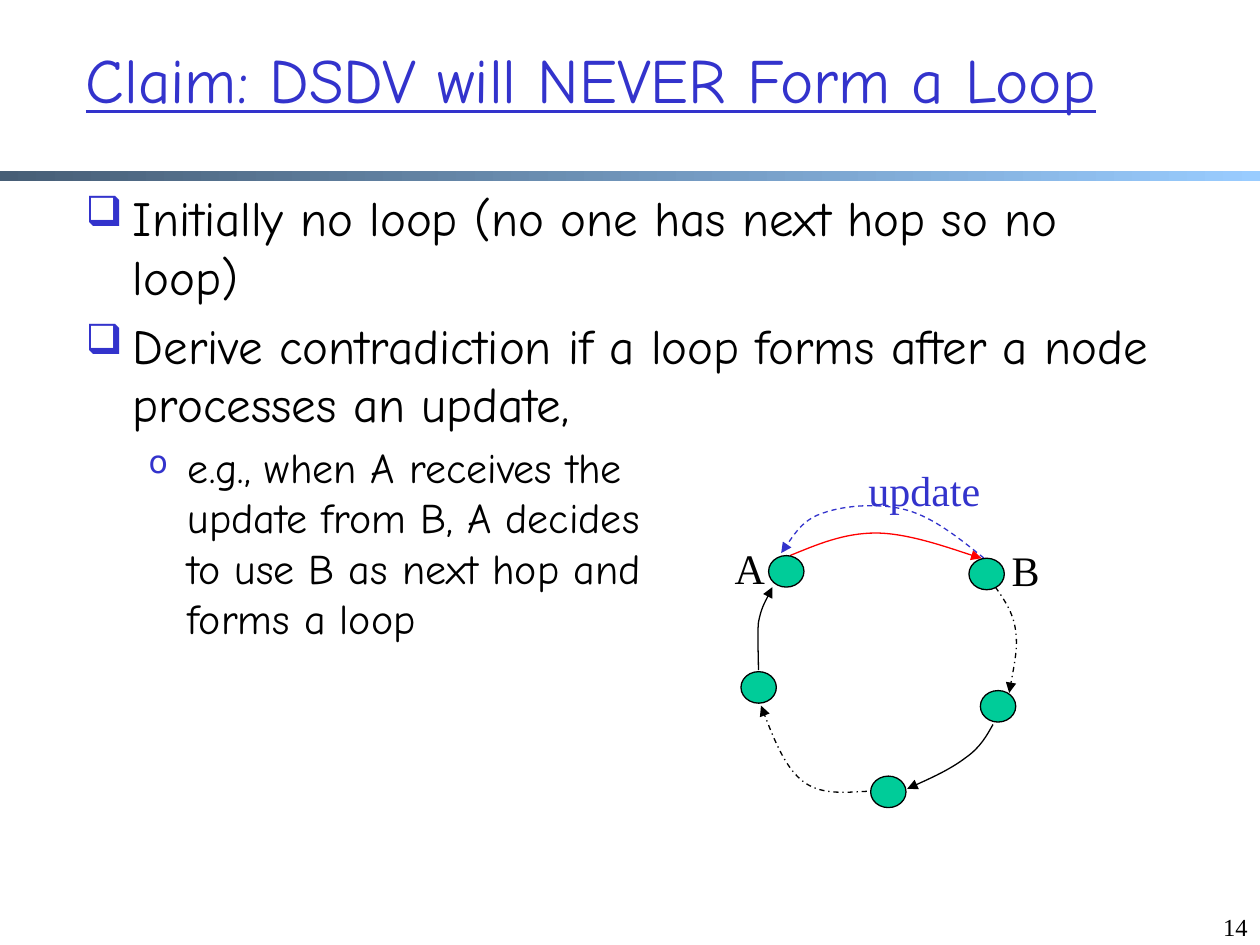
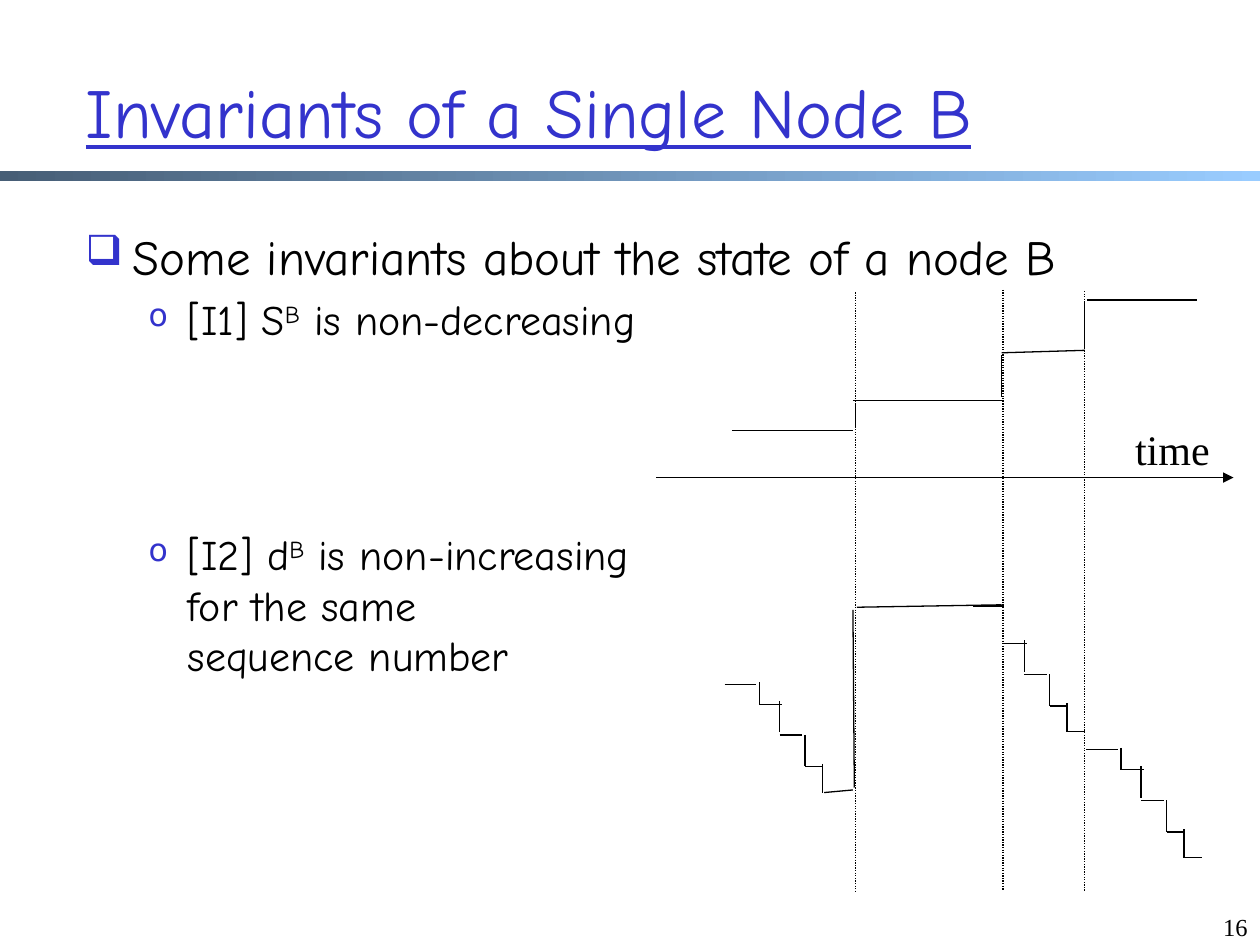
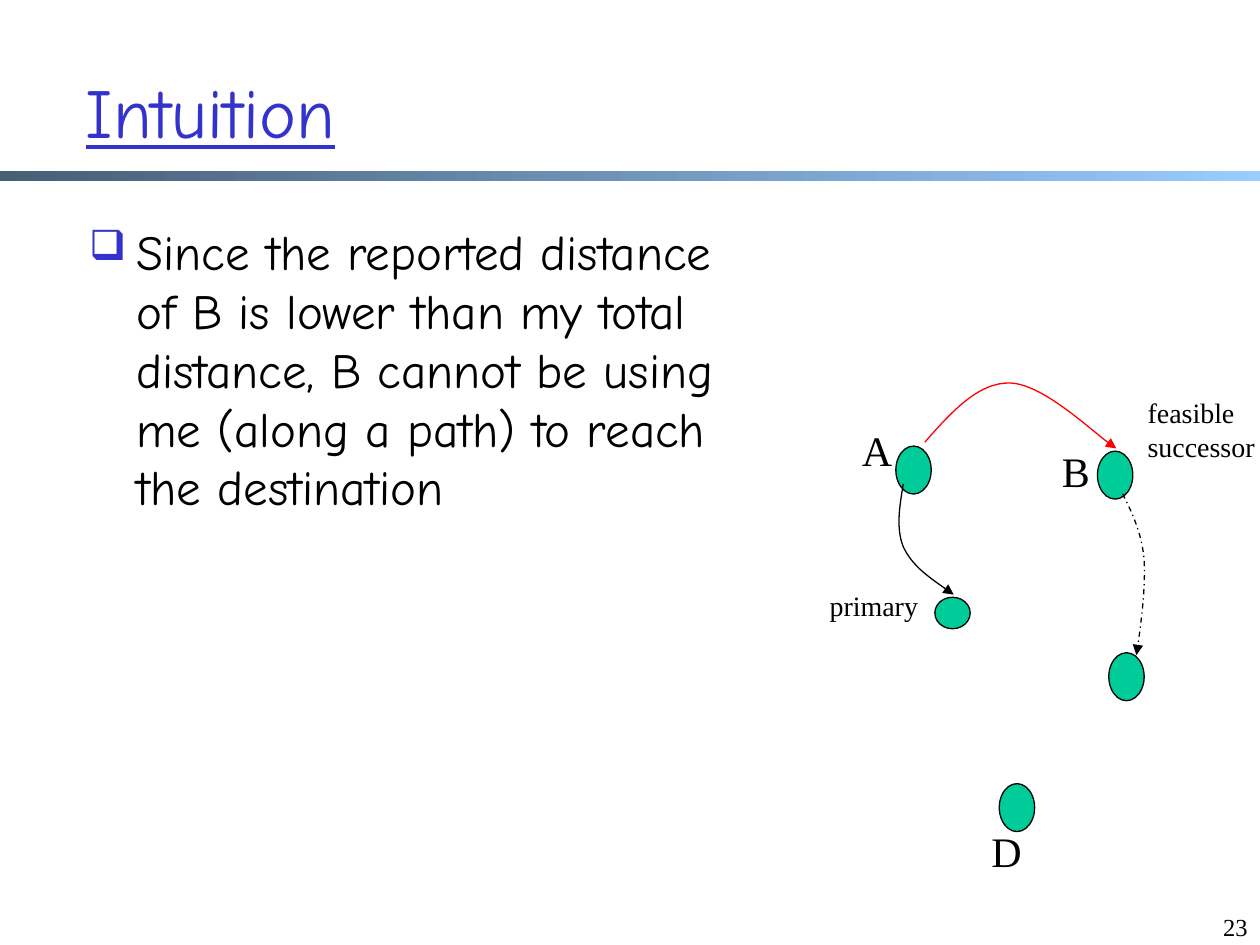
"""Builds three lecture slides on loop freedom in DSDV routing."""
from dataclasses import dataclass

from lxml.etree import SubElement
from pptx import Presentation
from pptx.dml.color import RGBColor as Rgb
from pptx.enum.dml import MSO_LINE_DASH_STYLE as Dash
from pptx.enum.shapes import MSO_CONNECTOR_TYPE as Link, MSO_SHAPE as Preset
from pptx.enum.text import MSO_ANCHOR as Anchor, PP_ALIGN as Align
from pptx.oxml.ns import qn
from pptx.util import Pt


@dataclass(frozen=True)
class Theme:
    """Colours, fonts and type sizes of the lecture."""
    accent: str = "3333CC"
    ink: str = "000000"
    route: str = "FF0000"
    node: str = "00CC99"
    band_start: str = "475E76"
    band_end: str = "99CCFF"
    hand: str = "Comic Neue"
    serif: str = "Times New Roman"
    title: int = 40
    long_title: int = 36
    point: int = 28
    detail: int = 24
    label: int = 24
    small_label: int = 16
    number: int = 14
    line: float = 0.75


THEME = Theme()
BULLETS = (("❑", 85, THEME.point, 27, 27), ("o", 75, THEME.detail, 58.5, 22.5))
NODE_WIDTH, NODE_HEIGHT, TALL_NODE = 20.2, 18, 27.4

LANDING = [(0, 0, 18, 0), (20, -1, 20, 11.5)]
DESCENT = [(0, 0, 13, 0), (11.5, -2, 11.5, 16), (11.5, 17.5, 24.5, 17.5),
           (26, 17.5, 26, 35.5), (26, 35.5, 36, 35.5), (36, 34, 36, 50.5)]
LAST_STEP = [(36, 50, 46, 50)]


class Lecture:
    """Holds the style and the current slide, and draws each kind of element."""

    def __init__(self, theme):
        self.theme = theme
        self.deck = Presentation()
        self.deck.slide_width, self.deck.slide_height = Pt(720), Pt(540)
        self.slide = None

    def start(self, heading, number, top=18, size=THEME.title):
        """Open a slide with its title, band and number."""
        self.slide = self.deck.slides.add_slide(self.deck.slide_layouts[5])
        band = self.slide.shapes.add_shape(
            Preset.RECTANGLE, Pt(0), Pt(97.9), Pt(720), Pt(5.8))
        band.shadow.inherit = False
        band.line.fill.background()
        band.fill.gradient()
        band.fill.gradient_angle = 0
        ends = (self.theme.band_start, self.theme.band_end)
        for stop, colour in zip(band.fill.gradient_stops, ends):
            stop.color.rgb = Rgb.from_string(colour)
        title = self.slide.shapes.title
        title.left, title.top, title.width, title.height = (
            Pt(41.8), Pt(top), Pt(640), Pt(90))
        title.text_frame.vertical_anchor = Anchor.MIDDLE
        paragraph = title.text_frame.paragraphs[0]
        paragraph.alignment = Align.LEFT
        run = self.run(paragraph, heading, size, self.theme.hand, self.theme.accent)
        run.font.underline = True
        self.label(number, 666, 517.7, 54, 22.3, self.theme.number, align=Align.RIGHT)

    def run(self, paragraph, words, size, face, colour):
        """Add one formatted run."""
        run = paragraph.add_run()
        run.text = words
        run.font.size, run.font.name = Pt(size), face
        run.font.color.rgb = Rgb.from_string(colour)
        return run

    def frame(self, left, top, width, height, wrap=True):
        """Add a text box and return its text frame."""
        box = self.slide.shapes.add_textbox(Pt(left), Pt(top), Pt(width), Pt(height))
        box.text_frame.word_wrap = wrap
        return box.text_frame

    def label(self, words, left, top, width=31.7, height=36, size=THEME.label,
              colour=THEME.ink, align=Align.CENTER, wrap=True):
        """Add a short serif label."""
        paragraph = self.frame(left, top, width, height, wrap).paragraphs[0]
        paragraph.alignment = align
        self.run(paragraph, words, size, self.theme.serif, colour)

    def points(self, left, top, width, height, *items):
        """Add bulleted items of (level, text, space before); ^ marks superscripts."""
        frame = self.frame(left, top, width, height)
        for index, (level, words, gap) in enumerate(items):
            paragraph = frame.paragraphs[0] if index == 0 else frame.add_paragraph()
            size = self.bullet(paragraph, level)
            paragraph.space_before = Pt(gap)
            for row, line in enumerate(words.split("\n")):
                if row:
                    paragraph.add_line_break()
                for part, piece in enumerate(line.split("^")):
                    run = self.run(paragraph, piece, size, self.theme.hand, self.theme.ink)
                    if part % 2:
                        run.font._element.set("baseline", "30000")

    def bullet(self, paragraph, level):
        """Set the bullet and indent of a level and return its type size."""
        mark, percent, size, margin, hang = BULLETS[level]
        paragraph.level = level
        props = paragraph._p.get_or_add_pPr()
        props.set("marL", str(Pt(margin)))
        props.set("indent", str(-Pt(hang)))
        SubElement(SubElement(props, qn("a:buClr")), qn("a:srgbClr"), val=self.theme.accent)
        SubElement(props, qn("a:buSzPct"), val=str(percent * 1000))
        SubElement(props, qn("a:buChar"), char=mark)
        return size

    def stroke(self, shape, colour, dash=None, arrow=False):
        """Style an outline."""
        shape.line.color.rgb = Rgb.from_string(colour)
        shape.line.width = Pt(self.theme.line)
        if dash:
            shape.line.dash_style = dash
        if arrow:
            outline = shape._element.spPr.find(qn("a:ln"))
            SubElement(outline, qn("a:tailEnd"), type="triangle")

    def line(self, x1, y1, x2, y2, dash=None, arrow=False):
        """Add a straight line."""
        link = self.slide.shapes.add_connector(
            Link.STRAIGHT, Pt(x1), Pt(y1), Pt(x2), Pt(y2))
        self.stroke(link, self.theme.ink, dash, arrow)
        SubElement(link._element.spPr, qn("a:effectLst"))

    def lines(self, segments, left=0, top=0):
        """Add straight lines shifted by an offset."""
        for x1, y1, x2, y2 in segments:
            self.line(left + x1, top + y1, left + x2, top + y2)

    def hop(self, *knots, colour=THEME.ink, dash=None):
        """Add a curved arrow through Bézier knots."""
        start, *rest = [(Pt(x), Pt(y)) for x, y in knots]
        builder = self.slide.shapes.build_freeform(*start)
        builder.add_line_segments(rest, close=False)
        curve = builder.convert_to_shape()
        curve.shadow.inherit = False
        curve.fill.background()
        self.stroke(curve, colour, dash, arrow=True)
        route = curve._element.find(".//" + qn("a:path"))
        straights = route.findall(qn("a:lnTo"))
        for first in range(0, len(straights), 3):
            bezier = SubElement(route, qn("a:cubicBezTo"))
            for straight in straights[first:first + 3]:
                bezier.append(straight[0])
                route.remove(straight)

    def nodes(self, *corners, height=NODE_HEIGHT):
        """Add network nodes at their top left corners."""
        for left, top in corners:
            node = self.slide.shapes.add_shape(
                Preset.OVAL, Pt(left), Pt(top), Pt(NODE_WIDTH), Pt(height))
            node.shadow.inherit = False
            node.fill.solid()
            node.fill.fore_color.rgb = Rgb.from_string(self.theme.node)
            self.stroke(node, self.theme.ink)


def claim(lecture):
    """Draw the claim that no loop forms."""
    lecture.start("Claim: DSDV will NEVER Form a Loop", "14", 0, THEME.long_title)
    lecture.points(
        41.8, 103.7, 634.3, 404.6,
        (0, "Initially no loop (no one has next hop so no loop)", 0),
        (0, "Derive contradiction if a loop forms after a node processes an update,", 5.6),
        (1, "e.g., when A receives the\nupdate from B, A decides\n"
            "to use B as next hop and\nforms a loop", 4.8))
    lecture.hop((451.4, 317.5), (467.3, 311), (482.4, 304.6), (500.4, 304.6),
                (519.1, 304.6), (550.8, 316.1), (560.9, 319), colour=THEME.route)
    lecture.hop((562.3, 319), (547.9, 307.4), (533.5, 295.9), (518.4, 291.6),
                (503.3, 287.3), (483.1, 288.7), (470.9, 293),
                (459.4, 296.6), (452.9, 306.7), (446.4, 316.1),
                colour=THEME.accent, dash=Dash.DASH)
    lecture.nodes((439.2, 317.5), (553.7, 319), (560.2, 394.6),
                  (497.5, 443.5), (423.4, 383.8))
    lecture.hop((567.4, 414), (563.8, 420.5), (560.2, 427), (552.2, 432.7),
                (543.6, 439.2), (531.4, 445), (518.4, 450.7))
    lecture.hop((433.4, 383), (433.4, 373), (432.7, 363.6), (433.4, 355.7),
                (434.9, 347.8), (438.5, 341.3), (441.4, 335.5))
    lecture.label("A", 412.6, 306.7)
    lecture.label("B", 570.2, 307.4)
    lecture.hop((568.8, 335.5), (573.8, 342.7), (578.9, 349.9), (580.3, 360),
                (581.8, 370.1), (578.9, 383), (576.7, 396), dash=Dash.DASH_DOT)
    lecture.hop((495.4, 452.2), (481.7, 452.9), (468, 454.3), (457.9, 445.7),
                (448.6, 437.8), (441.4, 420.5), (434.9, 403.2), dash=Dash.DASH_DOT)
    lecture.label("update", 488.9, 262.1, 78.5, colour=THEME.accent, wrap=False)


def invariants(lecture):
    """Draw the sequence number and distance of node B over time."""
    lecture.start("Invariants of a Single Node B", "16")
    lecture.points(
        41.8, 126, 635.8, 376.6,
        (0, "Some invariants about the state of a node B", 0),
        (1, "[I1] S^B^ is non-decreasing", 4.8),
        (1, "[I2] d^B^ is non-increasing\nfor the same\nsequence number", 105.5))
    for moment, top in ((488.9, 167), (573.1, 165.6), (619.9, 166.3)):
        lecture.line(moment, top, moment, top + 343, Dash.ROUND_DOT)
    sequence_number = [
        (418.3, 246.2, 487.4, 246.2), (488.9, 244.1, 488.9, 231.1),
        (487.4, 229, 573.8, 229), (572.4, 226.8, 572.4, 203),
        (572.4, 201.6, 619.9, 200.2), (619.9, 199.4, 619.9, 172.1),
        (621.4, 171.4, 684, 171.4)]
    distance_jump = [
        (470.9, 452.9, 487.4, 451.4), (488.2, 450, 487.4, 348.5),
        (489.6, 347, 572.4, 345.6), (555.8, 346.3, 573.8, 346.3)]
    lecture.lines(sequence_number)
    lecture.lines(LANDING, 414, 391)
    lecture.lines(DESCENT, 434, 402.5)
    lecture.lines(distance_jump)
    lecture.lines(DESCENT + LAST_STEP, 573.8, 367.9)
    lecture.lines(LANDING, 620.6, 428.4)
    lecture.lines(DESCENT + LAST_STEP, 640.6, 439.9)
    lecture.line(375.1, 272.9, 704.9, 272.9, arrow=True)
    lecture.label("time", 641.5, 238.3, 56.9, wrap=False)


def intuition(lecture):
    """Draw the feasible successor next to the primary route."""
    lecture.start("Intuition", "23")
    lecture.points(
        43.9, 123.1, 395.3, 382.3,
        (0, "Since the reported distance of B is lower than my total distance, "
            "B cannot be using me (along a path) to reach the destination", 0))
    lecture.hop((528.5, 252.7), (543.6, 235.4), (559.4, 218.2), (577.4, 218.9),
                (595.4, 219.6), (627.8, 249.8), (637.9, 256.3), colour=THEME.route)
    lecture.nodes((511.9, 254.9), (627.1, 257.8), (633.6, 373), (571, 447.8),
                  height=TALL_NODE)
    lecture.label("A", 485.3, 239)
    lecture.label("feasible successor", 648.7, 222.5, 85.7, 69.8,
                  THEME.small_label, align=Align.LEFT)
    lecture.hop((641.5, 282.2), (647.3, 293.8), (652.3, 304.6), (653.8, 319.7),
                (654.5, 334.8), (652.3, 355), (649.4, 374.4), dash=Dash.DASH_DOT)
    lecture.nodes((534.2, 341.3))
    lecture.hop((516.2, 276.5), (514.1, 289.4), (511.9, 301.7), (516.2, 312.5),
                (521.3, 323.3), (532.8, 331.2), (545, 339.8))
    lecture.label("primary", 456.5, 332.6, 85.7, 26.6, THEME.small_label)
    lecture.label("B", 599, 251.3)
    lecture.label("D", 559.4, 468)


def main():
    """Build and save the slides."""
    lecture = Lecture(THEME)
    for draw in (claim, invariants, intuition):
        draw(lecture)
    lecture.deck.save("out.pptx")


if __name__ == "__main__":
    main()
